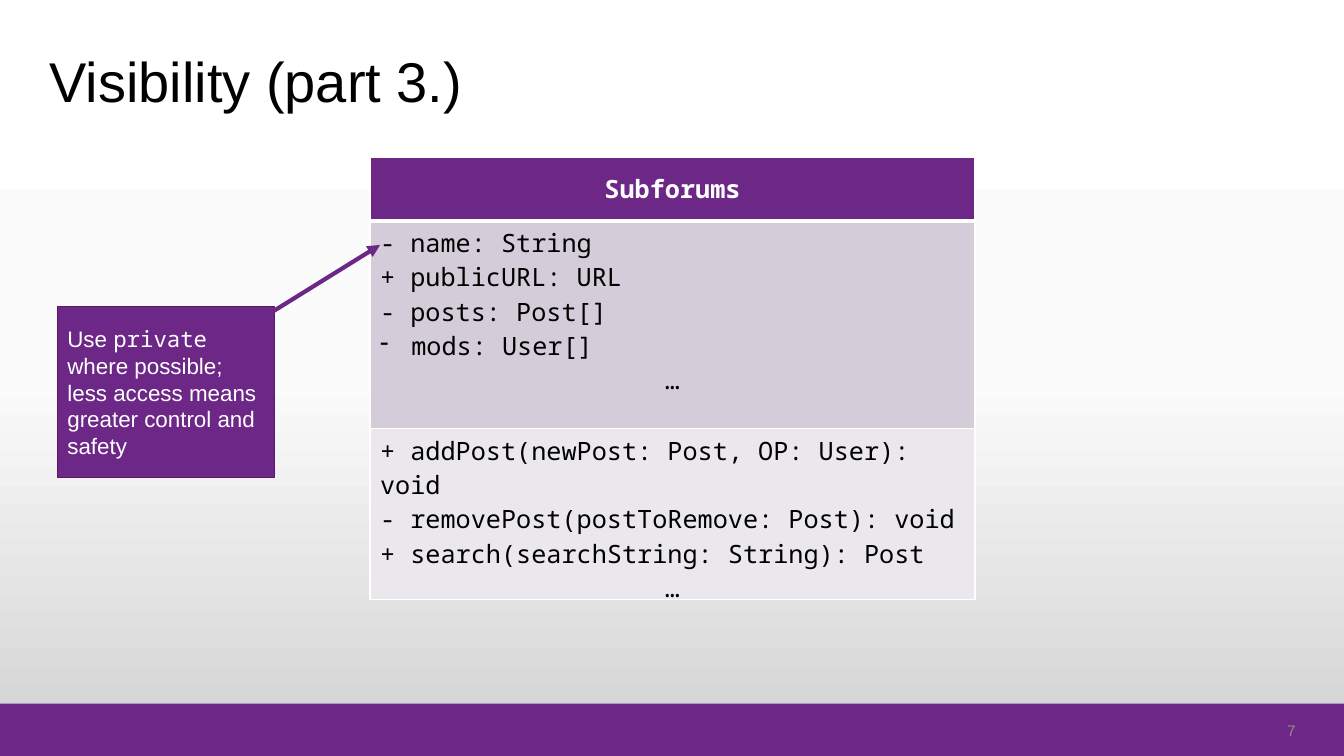
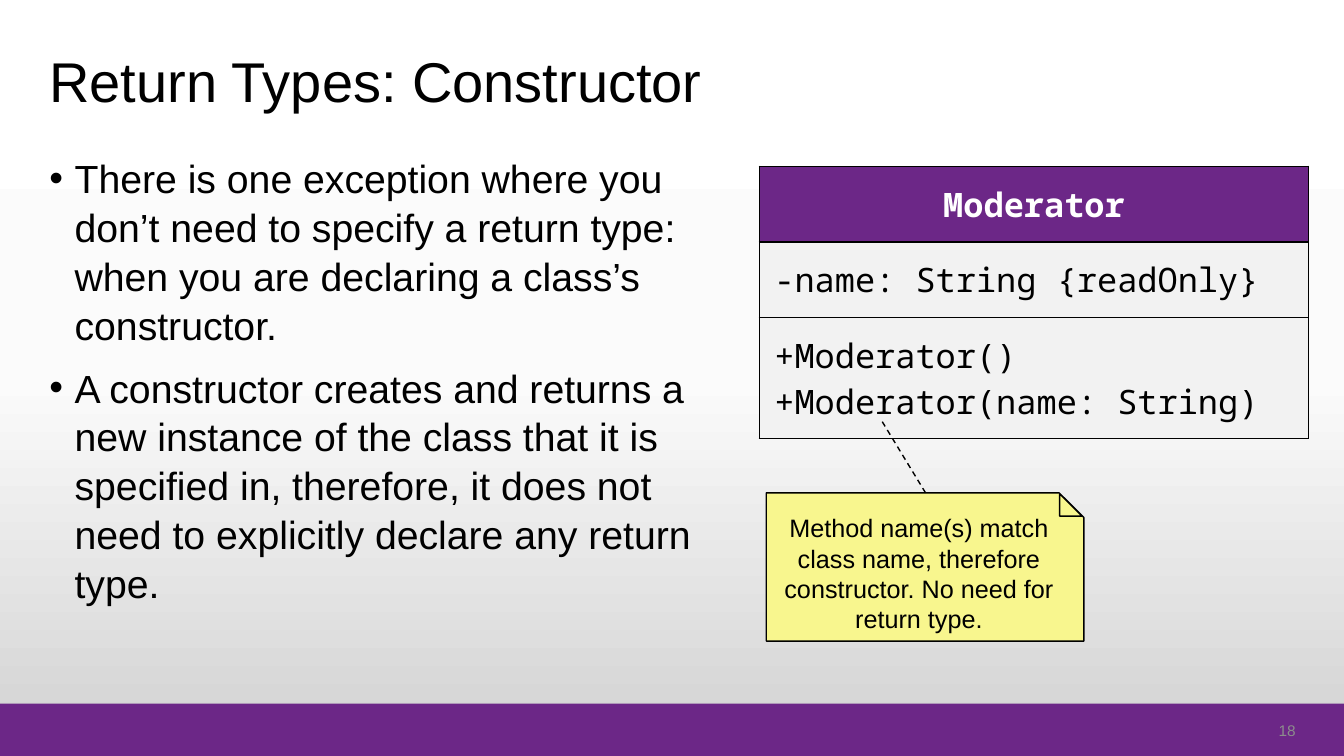
from lxml import etree
from pptx import Presentation
from pptx import util as u
from pptx.dml.color import RGBColor
from pptx.enum import dml, shapes, text
from pptx.oxml.ns import qn

WIDTH, HEIGHT = 13.33, 7.5
BAND_HEIGHT = 0.52
SANS, MONO = "Arial", "Noto Sans Mono"
PURPLE, DARK_PURPLE, YELLOW = "6C2787", "501D64", "F8F68E"
BLACK, WHITE, GREY = "000000", "FFFFFF", "8C8C8C"
BACKDROP = [(0, WHITE), (50, "FBFBFB"), (100, "D1D1D1")]
LEFT, CENTER, RIGHT = text.PP_ALIGN.LEFT, text.PP_ALIGN.CENTER, text.PP_ALIGN.RIGHT
DASH_BULLET = ("-", 0.31)
DOT_BULLET = ("•", 0.25)

VISIBILITY = {
    "title": "Visibility (part 3.)",
    "number": "7",
    "class": {
        "at": (3.67, 1.56, 6), "rows": (0.63, 2.06, 1.7),
        "fills": (PURPLE, "D4CDD9", "EBE8ED"), "size": 18,
        "border": WHITE, "header_rule": 3, "inset": None,
        "name": "Subforums",
        "sections": [
            ["- name: String", "+ publicURL: URL", "- posts: Post[]",
             ("mods: User[]", DASH_BULLET), "…"],
            ["+ addPost(newPost: Post, OP: User): void",
             "- removePost(postToRemove: Post): void",
             "+ search(searchString: String): Post", "…"],
        ],
    },
    "advice": [("Use ", SANS), ("private", MONO),
               (" where possible; less access means greater control and safety", SANS)],
}
CONSTRUCTOR = {
    "title": "Return Types: Constructor",
    "number": "18",
    "points": [
        "There is one exception where you don’t need to specify a return type: "
        "when you are declaring a class’s constructor.",
        "A constructor creates and returns a new instance of the class that it is "
        "specified in, therefore, it does not need to explicitly declare any return type.",
    ],
    "class": {
        "at": (7.53, 1.65, 5.45), "rows": (0.75, 0.75, 1.2),
        "fills": (PURPLE, "F2F2F2", "F2F2F2"), "size": 24,
        "border": BLACK, "header_rule": 1, "inset": 0.15,
        "name": "Moderator",
        "sections": [["-name: String {readOnly}"],
                     ["+Moderator()", "+Moderator(name: String)"]],
    },
    "note": "Method name(s) match class name, therefore constructor. No need for return type.",
}


def rgb(value):
    return RGBColor.from_string(value)


def inches(*lengths):
    return [u.Inches(length) for length in lengths]


def style(paragraph, size, color, font=SANS, align=LEFT, bold=False):
    paragraph.alignment = align
    paragraph.font.size = u.Pt(size)
    paragraph.font.bold = bold
    paragraph.font.color.rgb = rgb(color)
    if font:
        paragraph.font.name = font


def add_bullet(paragraph, bullet):
    mark, indent = bullet
    props = paragraph._p.get_or_add_pPr()
    props.set("marL", str(u.Inches(indent)))
    props.set("indent", str(-u.Inches(indent)))
    etree.SubElement(props, qn("a:buChar")).set("char", mark)


def paragraphs(frame, count):
    return [frame.paragraphs[0]] + [frame.add_paragraph() for _ in range(count - 1)]


def add_box(parent, kind, at, fill, line=None):
    box = parent.add_shape(kind, *inches(*at))
    box.shadow.inherit = False
    box.fill.solid()
    box.fill.fore_color.rgb = rgb(fill)
    if line:
        box.line.color.rgb = rgb(line)
        box.line.width = u.Pt(1)
    else:
        box.line.fill.background()
    box.text_frame.word_wrap = True
    return box


def add_line(slide, start, end, color, width):
    link = slide.shapes.add_connector(shapes.MSO_CONNECTOR.STRAIGHT, *inches(*start, *end))
    link.line.color.rgb = rgb(color)
    link.line.width = u.Pt(width)
    etree.SubElement(link._element.spPr, qn("a:effectLst"))
    return link


def add_border(cell, sides):
    props = cell._tc.get_or_add_tcPr()
    for side, color, width in sides:
        edge = etree.SubElement(props, qn("a:ln" + side), w=str(u.Pt(width)))
        solid = etree.SubElement(edge, qn("a:solidFill"))
        etree.SubElement(solid, qn("a:srgbClr"), val=color)


def add_class_table(slide, model):
    left, top, width = model["at"]
    rows = model["rows"]
    table = slide.shapes.add_table(len(rows), 1, *inches(left, top, width, sum(rows))).table
    table.horz_banding = False
    for index, lines in enumerate([[model["name"]]] + model["sections"]):
        header = index == 0
        table.rows[index].height = u.Inches(rows[index])
        cell = table.cell(index, 0)
        above = model["header_rule"] if index == 1 else 1
        below = model["header_rule"] if header else 1
        add_border(cell, [(side, model["border"], weight)
                          for side, weight in zip("LRTB", (1, 1, above, below))])
        cell.fill.solid()
        cell.fill.fore_color.rgb = rgb(model["fills"][index])
        if header:
            cell.vertical_anchor = text.MSO_ANCHOR.MIDDLE
        if model["inset"]:
            inset = u.Inches(model["inset"])
            cell.margin_left = cell.margin_right = inset
            cell.margin_top = cell.margin_bottom = inset
        for paragraph, line in zip(paragraphs(cell.text_frame, len(lines)), lines):
            wording, bullet = line if isinstance(line, tuple) else (line, None)
            paragraph.text = wording
            if bullet:
                add_bullet(paragraph, bullet)
            style(paragraph, model["size"], WHITE if header else BLACK, MONO,
                  CENTER if header or wording == "…" else LEFT, header)


def set_backdrop(master):
    fill = master.background.fill
    fill.gradient()
    fill.gradient_angle = 270
    stops = master.element.find(".//" + qn("a:gsLst"))
    for stop in list(stops):
        stops.remove(stop)
    for share, color in BACKDROP:
        stop = etree.SubElement(stops, qn("a:gs"), pos=str(share * 1000))
        etree.SubElement(stop, qn("a:srgbClr"), val=color)


def start_slide(deck, layout, content):
    slide = deck.slides.add_slide(deck.slide_layouts[layout])
    title = slide.shapes.title
    title.left, title.top, title.width, title.height = inches(0.39, 0.36, 10.36, 0.87)
    title.text = content["title"]
    title.text_frame.auto_size = text.MSO_AUTO_SIZE.NONE
    title.text_frame.vertical_anchor = text.MSO_ANCHOR.MIDDLE
    style(title.text_frame.paragraphs[0], 40, BLACK)
    number = slide.shapes.add_textbox(*inches(12.4, 7.13, 0.55, 0.24)).text_frame
    number.word_wrap = True
    number.vertical_anchor = text.MSO_ANCHOR.MIDDLE
    number.text = content["number"]
    style(number.paragraphs[0], 11, GREY, align=RIGHT)
    add_class_table(slide, content["class"])
    return slide


def build_visibility(deck):
    slide = start_slide(deck, 5, VISIBILITY)
    advice = add_box(slide.shapes, shapes.MSO_SHAPE.RECTANGLE,
                     (0.57, 3.04, 2.15, 1.7), PURPLE, DARK_PURPLE)
    paragraph = advice.text_frame.paragraphs[0]
    style(paragraph, 16, WHITE, font=None)
    for wording, font in VISIBILITY["advice"]:
        run = paragraph.add_run()
        run.text = wording
        run.font.name = font
    arrow = add_line(slide, (2.61, 3.15), (3.77, 2.43), PURPLE, 3)
    etree.SubElement(arrow.line._get_or_add_ln(), qn("a:tailEnd"), type="triangle")


def build_constructor(deck):
    slide = start_slide(deck, 1, CONSTRUCTOR)
    body = slide.placeholders[1]
    body.left, body.top, body.width, body.height = inches(0.39, 1.46, 7.1, 5.35)
    body.text_frame.auto_size = text.MSO_AUTO_SIZE.NONE
    points = CONSTRUCTOR["points"]
    for paragraph, point in zip(paragraphs(body.text_frame, len(points)), points):
        paragraph.text = point
        add_bullet(paragraph, DOT_BULLET)
        paragraph.space_before = u.Pt(10)
        paragraph.line_spacing = 1.04
        style(paragraph, 28, BLACK)
    note = slide.shapes.add_group_shape().shapes
    sheet = add_box(note, shapes.MSO_SHAPE.SNIP_1_RECTANGLE,
                    (7.6, 4.89, 3.15, 1.47), YELLOW, BLACK)
    sheet.text_frame.text = CONSTRUCTOR["note"]
    style(sheet.text_frame.paragraphs[0], 18, BLACK, align=CENTER)
    add_box(note, shapes.MSO_SHAPE.RIGHT_TRIANGLE, (10.51, 4.9, 0.22, 0.22), YELLOW, BLACK)
    anchor = add_line(slide, (9.18, 4.89), (8.73, 4.15), BLACK, 1)
    anchor.line.dash_style = dml.MSO_LINE.DASH


def main():
    deck = Presentation()
    deck.slide_width, deck.slide_height = inches(WIDTH, HEIGHT)
    set_backdrop(deck.slide_master)
    build_visibility(deck)
    build_constructor(deck)
    band = add_box(deck.slides[0].shapes, shapes.MSO_SHAPE.RECTANGLE,
                   (0, HEIGHT - BAND_HEIGHT, WIDTH, BAND_HEIGHT), PURPLE)
    deck.slide_master.shapes.element.insert(2, band._element)
    deck.save("out.pptx")


if __name__ == "__main__":
    main()
